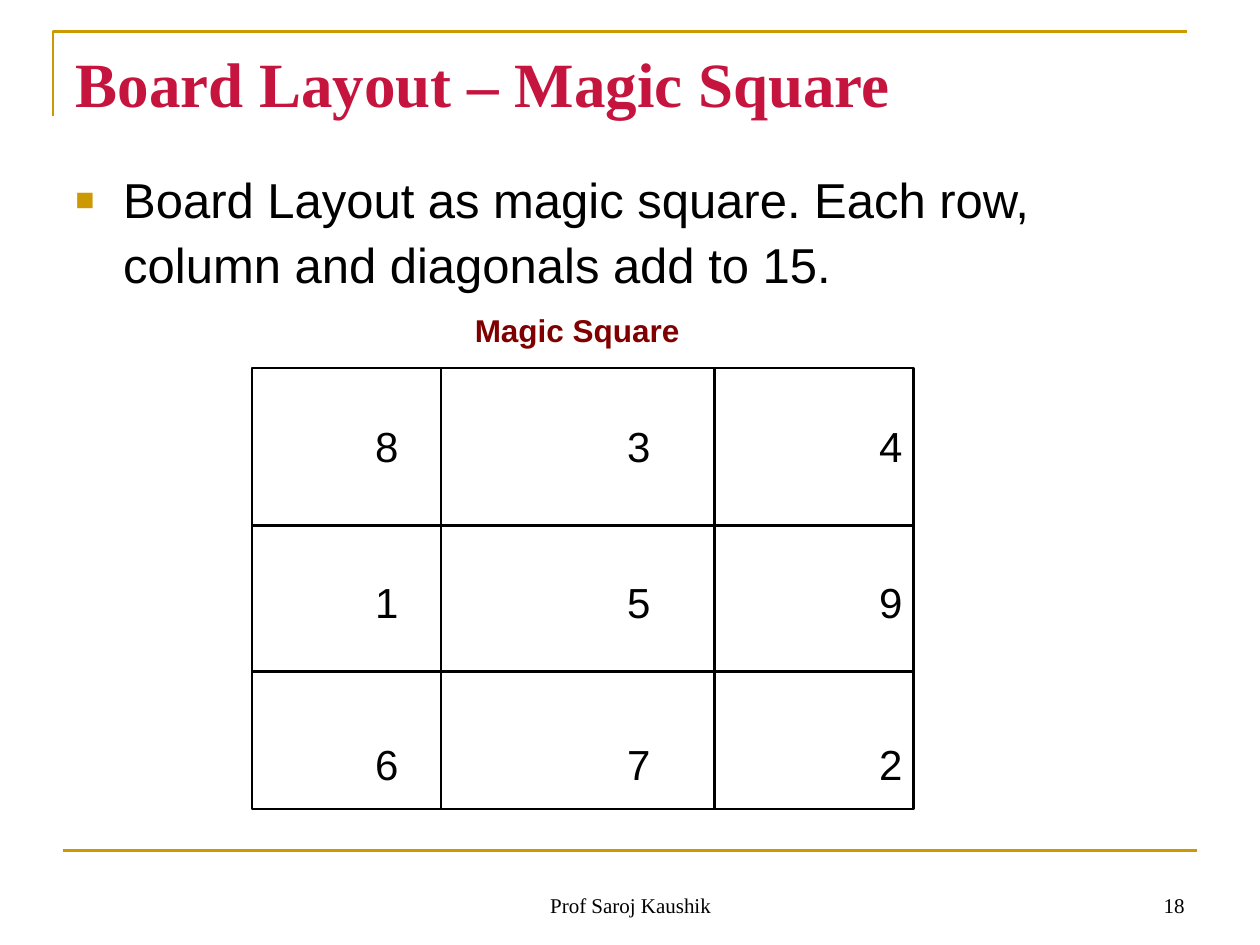
from lxml import etree
from pptx import Presentation
from pptx.dml.color import RGBColor
from pptx.enum.shapes import MSO_CONNECTOR, MSO_SHAPE
from pptx.enum.text import MSO_ANCHOR, PP_ALIGN
from pptx.oxml.ns import qn
from pptx.util import Inches, Pt

COLORS = {"gold": "CC9900", "title": "C5153F", "label": "800000", "black": "000000"}
SANS, SERIF = "Arial", "Times New Roman"
LEFT, TOP, RIGHT, BOTTOM = 2, 2.92, 7.25, 6.42
COLUMN_LINES = [3.5, 5.67]
ROW_LINES = [4.17, 5.33]
DIGIT_TABS = [2.38, 4.38, 6.38]
SQUARE = [((8, 3, 4), 73), ((1, 5, 9), 60), ((6, 7, 2), 64)]


def rgb(name):
    return RGBColor.from_string(COLORS[name])


def add_run(p, text, size, font, color, bold=False):
    r = p.add_run()
    r.text = text
    r.font.size = Pt(size)
    r.font.name = font
    r.font.bold = bold
    r.font.color.rgb = rgb(color)


def style_line(shape, color):
    shape.line.color.rgb = rgb(color)
    shape.line.width = Pt(1.5)


def add_line(s, x1, y1, x2, y2, color):
    line = s.shapes.add_connector(
        MSO_CONNECTOR.STRAIGHT, Inches(x1), Inches(y1), Inches(x2), Inches(y2))
    style_line(line, color)
    etree.SubElement(line._element.spPr, qn("a:effectLst"))


def add_box(s, x, y, w, h, anchor=MSO_ANCHOR.TOP):
    tf = s.shapes.add_textbox(Inches(x), Inches(y), Inches(w), Inches(h)).text_frame
    tf.word_wrap = True
    tf.vertical_anchor = anchor
    return tf


def add_label(s, x, y, w, h, text, size, font, color,
              bold=False, align=PP_ALIGN.LEFT, anchor=MSO_ANCHOR.TOP):
    p = add_box(s, x, y, w, h, anchor).paragraphs[0]
    p.alignment = align
    add_run(p, text, size, font, color, bold)


def add_bullet(p):
    pPr = p._p.get_or_add_pPr()
    pPr.set("marL", str(Inches(0.38)))
    pPr.set("indent", str(-Inches(0.38)))
    color = etree.SubElement(pPr, qn("a:buClr"))
    etree.SubElement(color, qn("a:srgbClr"), val=COLORS["gold"])
    etree.SubElement(pPr, qn("a:buSzPct"), val="65000")
    etree.SubElement(pPr, qn("a:buFont"), typeface=SANS)
    etree.SubElement(pPr, qn("a:buChar"), char="■")


def add_tabs(p, stops):
    tabs = etree.SubElement(p._p.get_or_add_pPr(), qn("a:tabLst"))
    for stop in stops:
        etree.SubElement(tabs, qn("a:tab"), pos=str(Inches(stop)), algn="l")


def add_frame(s):
    builder = s.shapes.build_freeform(Inches(0.42), Inches(0.92))
    builder.add_line_segments(
        [(Inches(0.42), Inches(0.25)), (Inches(9.42), Inches(0.25))], close=False)
    corner = builder.convert_to_shape()
    corner.shadow.inherit = False
    corner.fill.background()
    style_line(corner, "gold")
    add_line(s, 0.5, 6.75, 9.5, 6.75, "gold")


def set_title(s, text):
    title = s.shapes.title
    title.left, title.top = Inches(0.5), Inches(0.3)
    title.width, title.height = Inches(9), Inches(1.25)
    tf = title.text_frame
    tf.vertical_anchor = MSO_ANCHOR.TOP
    p = tf.paragraphs[0]
    p.alignment = PP_ALIGN.LEFT
    add_run(p, text, 36, SERIF, "title", True)


def add_body(s, text):
    tf = add_box(s, 0.5, 1.25, 9, 5.75)
    p = tf.paragraphs[0]
    add_bullet(p)
    p.line_spacing = 1.1
    add_run(p, text, 28, SANS, "black")
    for digits, gap in SQUARE:
        p = tf.add_paragraph()
        add_tabs(p, DIGIT_TABS)
        p.space_before = Pt(gap)
        add_run(p, "".join(f"\t{digit}" for digit in digits), 24, SANS, "black")


def add_grid(s):
    board = s.shapes.add_shape(
        MSO_SHAPE.RECTANGLE, Inches(LEFT), Inches(TOP),
        Inches(RIGHT - LEFT), Inches(BOTTOM - TOP))
    board.shadow.inherit = False
    board.fill.background()
    style_line(board, "black")
    for x in COLUMN_LINES:
        add_line(s, x, TOP, x, BOTTOM, "black")
    for y in ROW_LINES:
        add_line(s, LEFT, y, RIGHT, y, "black")


def main():
    prs = Presentation()
    prs.slide_width, prs.slide_height = Inches(10), Inches(7.5)
    s = prs.slides.add_slide(prs.slide_layouts[5])
    add_frame(s)
    set_title(s, "Board Layout – Magic Square")
    add_body(s, "Board Layout as magic square. Each row, column and diagonals add to 15.")
    add_grid(s)
    add_label(s, 3.67, 2.42, 2.17, 0.4, "Magic Square", 18, SANS, "label", bold=True)
    add_label(s, 3.42, 6.83, 3.17, 0.5, "Prof Saroj Kaushik", 12, SERIF, "black",
              align=PP_ALIGN.CENTER, anchor=MSO_ANCHOR.BOTTOM)
    add_label(s, 7.17, 6.83, 2.33, 0.5, "18", 12, SERIF, "black",
              align=PP_ALIGN.RIGHT, anchor=MSO_ANCHOR.BOTTOM)
    prs.save("out.pptx")


if __name__ == "__main__":
    main()
